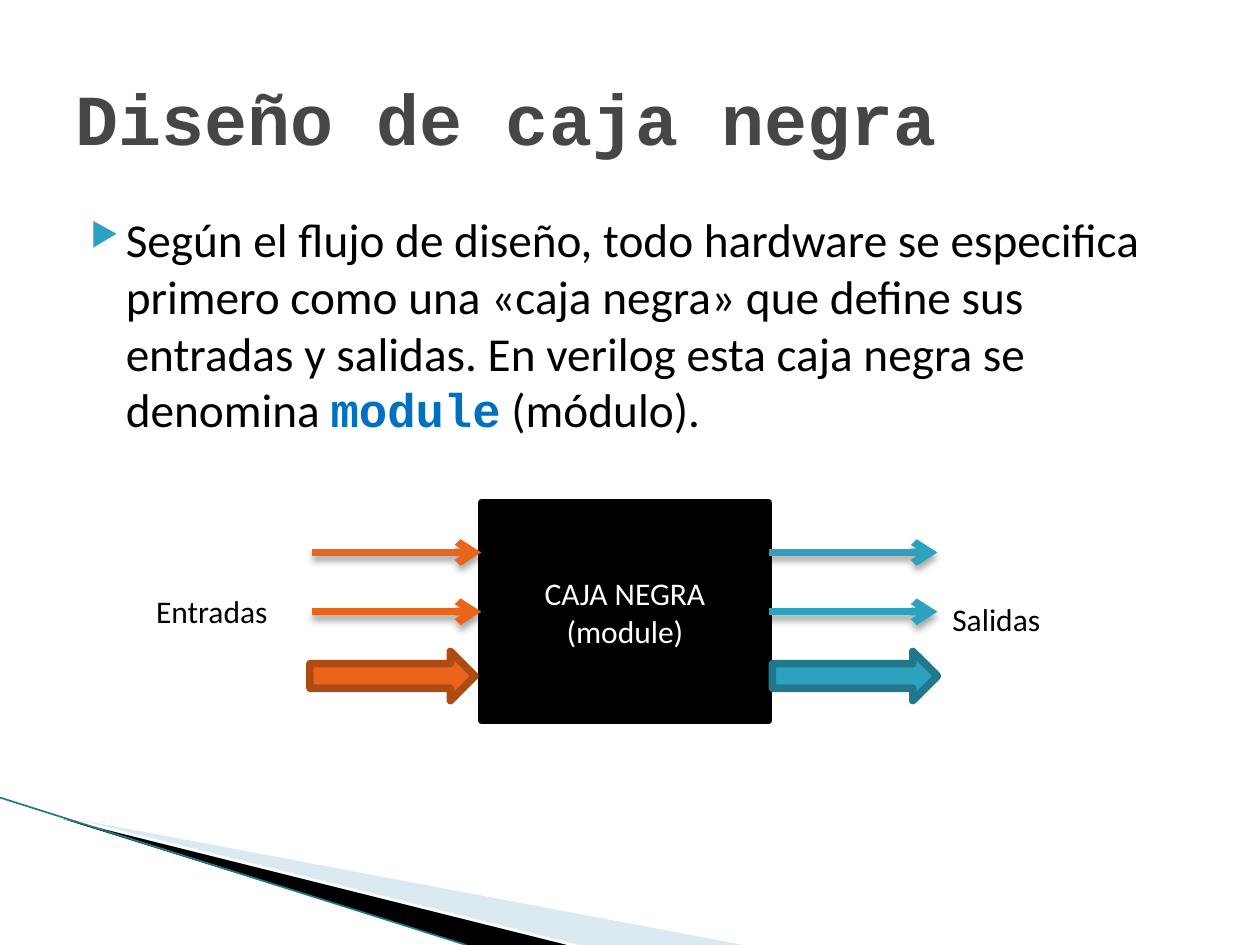
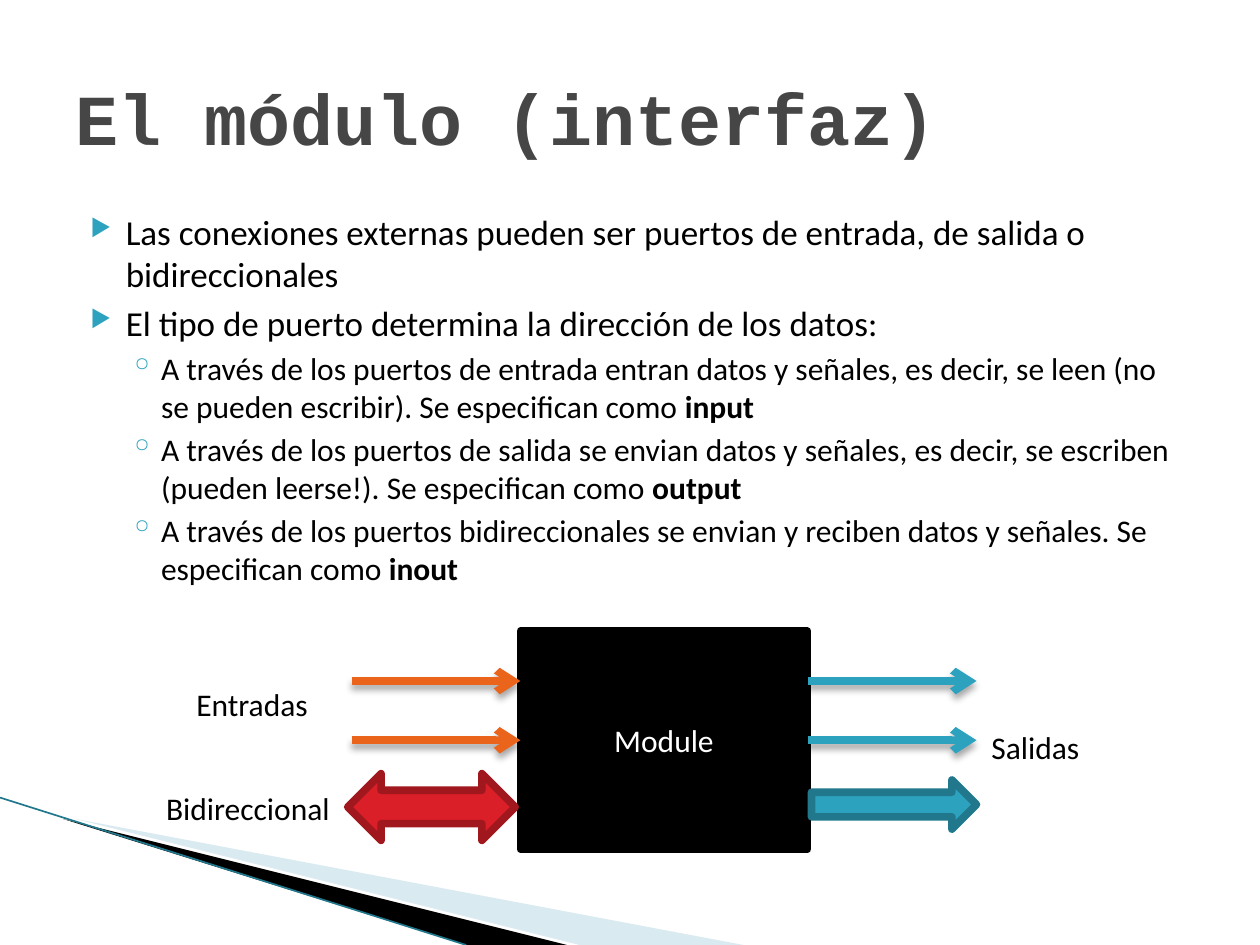
from lxml import etree
from pptx import Presentation
from pptx.dml.color import RGBColor
from pptx.enum.shapes import MSO_CONNECTOR, MSO_SHAPE
from pptx.enum.text import MSO_ANCHOR, MSO_AUTO_SIZE, PP_ALIGN
from pptx.oxml.ns import qn
from pptx.util import Inches, Pt

STRAIGHT = MSO_CONNECTOR.STRAIGHT
RECT, RIGHT, BOTH = MSO_SHAPE.RECTANGLE, MSO_SHAPE.RIGHT_ARROW, MSO_SHAPE.LEFT_RIGHT_ARROW
MIDDLE, LEFT, CENTER = MSO_ANCHOR.MIDDLE, PP_ALIGN.LEFT, PP_ALIGN.CENTER
GROW = MSO_AUTO_SIZE.SHAPE_TO_FIT_TEXT

BLACK, WHITE, GREY, BLUE = "000000", "FFFFFF", "464646", "0070C0"
TEAL, DARK_TEAL, PALE = "2DA2BF", "21788D", "A0CBDC"
ORANGE, DARK_ORANGE, RED, DARK_RED = "EB641B", "AE4A14", "DA1F28", "A1171E"
SANS, MONO = "Calibri", "Courier New"
STROKE = Pt(4.33)

prs = Presentation()
prs.slide_width, prs.slide_height = Inches(10), Inches(7.5)
UNIT = prs.slide_width // 100
rgb = RGBColor.from_string


def grid(*units):
    return [round(u * UNIT) for u in units]


def node(parent, tag, **attrs):
    return etree.SubElement(parent, qn(tag), {k: str(v) for k, v in attrs.items()})


WEDGES = [
    (PALE, 40, [(5.5, 65), (59.2, 75), (45.6, 75)]),
    (BLACK, 100, [(5.3, 64.9), (45.4, 75), (37, 75), (5.4, 65)]),
]
LEVELS = [
    dict(indent=(0.4, -0.28), before=4, char="▶", scale=68),
    dict(indent=(0.68, -0.25), before=3.2, char="◦", scale=100),
]
BOX_W, BOX_H = 22.8, 17.3
REACH, ROW_GAP = 13.4, 4.7
OUT_ARROW = (RIGHT, 23.1, 11.8, 13.1, 3.9, TEAL, DARK_TEAL)
OUT_LABEL = ("Salidas", 36.4, 7.2, 9.4)

SLIDES = [
    dict(
        title="Diseño de caja negra",
        sizes=(27, 18),
        body=[
            (0, [
                ("Según el flujo de diseño, todo hardware se especifica primero como una "
                 "«caja negra» que define sus entradas y salidas. En verilog esta caja negra "
                 "se denomina ", None),
                ("module", BLUE),
                (" (módulo).", None),
            ]),
        ],
        box=(38.2, 39.9),
        box_lines=["CAJA NEGRA", "(module)"],
        arrows=[OUT_ARROW, (RIGHT, -13.6, 11.8, 13.1, 3.9, ORANGE, DARK_ORANGE)],
        labels=[("Entradas", -26.8, 6.6, 11.3), OUT_LABEL],
    ),
    dict(
        title="El módulo (interfaz)",
        sizes=(20, 18),
        body=[
            (0, [("Las conexiones externas pueden ser puertos de entrada, de salida o "
                  "bidireccionales", None)]),
            (0, [("El tipo de puerto determina la dirección de los datos:", None)]),
            (1, [("A través de los puertos de entrada entran datos y señales, es decir, se "
                  "leen (no se pueden escribir). Se especifican como ", None),
                 ("input", BLACK)]),
            (1, [("A través de los puertos de salida se envian datos y señales, es decir, se "
                  "escriben (pueden leerse!). Se especifican como ", None),
                 ("output", BLACK)]),
            (1, [("A través de los puertos bidireccionales se envian y reciben datos y "
                  "señales. Se especifican como ", None),
                 ("inout", BLACK)]),
        ],
        box=(41.3, 50.1),
        box_lines=["Module"],
        arrows=[OUT_ARROW, (BOTH, -13.7, 11.3, 13.3, 5.3, RED, DARK_RED)],
        labels=[("Entradas", -26.7, 3.8, 11.3), OUT_LABEL, ("Bidireccional", -29.1, 12, 15.4)],
    ),
]

for content in SLIDES:
    s = prs.slides.add_slide(prs.slide_layouts[5])
    shapes = s.shapes

    for color, opacity, points in WEDGES:
        builder = shapes.build_freeform(*points[0], scale=UNIT)
        builder.add_line_segments(points[1:])
        sp = builder.convert_to_shape()
        sp.shadow.inherit = False
        sp.fill.solid()
        sp.fill.fore_color.rgb = rgb(color)
        sp.line.fill.background()
        if opacity < 100:
            node(sp.fill._xPr.find(".//" + qn("a:srgbClr")), "a:alpha", val=opacity * 1000)
    edge = shapes.add_connector(STRAIGHT, *grid(0, 63.3, 37, 75))
    edge.line.color.rgb = rgb(DARK_TEAL)
    edge.line.width = Pt(0.95)
    node(edge._element.spPr, "a:effectLst")

    title = shapes.title
    title.left, title.top, title.width, title.height = grid(5, 3, 90, 12.5)
    title.text_frame.text = content["title"]
    title.text_frame.vertical_anchor = MIDDLE
    p = title.text_frame.paragraphs[0]
    p.alignment = LEFT
    p.font.name, p.font.size, p.font.bold = MONO, Pt(41), True
    p.font.color.rgb = rgb(GREY)

    tf = shapes.add_textbox(*grid(5, 16.2, 90, 49.5)).text_frame
    tf.word_wrap = True
    for i, (level, runs) in enumerate(content["body"]):
        p = tf.add_paragraph() if i else tf.paragraphs[0]
        style = LEVELS[level]
        p.level = level
        pPr = p._p.get_or_add_pPr()
        margin, hanging = style["indent"]
        pPr.set("marL", str(Inches(margin)))
        pPr.set("indent", str(Inches(hanging)))
        node(node(pPr, "a:buClr"), "a:srgbClr", val=TEAL)
        node(pPr, "a:buSzPct", val=style["scale"] * 1000)
        node(pPr, "a:buChar", char=style["char"])
        p.space_before = Pt(style["before"])
        p.font.name, p.font.size = SANS, Pt(content["sizes"][level])
        p.font.color.rgb = rgb(BLACK)
        for text, keyword_color in runs:
            r = p.add_run()
            r.text = text
            if keyword_color:
                r.font.bold = True
                r.font.color.rgb = rgb(keyword_color)
                if keyword_color == BLUE:
                    r.font.name = MONO

    x, y = content["box"]
    blocks = []
    for kind, dx, dy, w, h, fill, outline in [
        (RECT, 0, 0, BOX_W, BOX_H, BLACK, BLACK), *content["arrows"]
    ]:
        sp = shapes.add_shape(kind, *grid(x + dx, y + dy, w, h))
        sp.shadow.inherit = False
        sp.fill.solid()
        sp.fill.fore_color.rgb = rgb(fill)
        sp.line.color.rgb = rgb(outline)
        sp.line.width = STROKE
        blocks.append(sp)

    box = blocks[0]
    tf = box.text_frame
    tf.vertical_anchor = MIDDLE
    for i, text in enumerate(content["box_lines"]):
        p = tf.add_paragraph() if i else tf.paragraphs[0]
        p.text = text
        p.alignment = CENTER
        p.font.name, p.font.size = SANS, Pt(18)
        p.font.color.rgb = rgb(WHITE)

    middle = y + BOX_H / 2
    for start, color in [(x + BOX_W, TEAL), (x - REACH, ORANGE)]:
        for row in (middle - ROW_GAP, middle):
            port = shapes.add_connector(STRAIGHT, *grid(start, row, start + REACH, row))
            if row == middle and color == TEAL:
                port.begin_connect(box, 3)
            elif row == middle:
                port.end_connect(box, 1)
            port.line.color.rgb = rgb(color)
            port.line.width = STROKE
            node(port.line._get_or_add_ln(), "a:tailEnd", type="arrow")
            shadow = node(node(port._element.spPr, "a:effectLst"), "a:outerShdw",
                          blurRad=Pt(4), dist=Pt(3), dir=5400000, rotWithShape=0)
            node(node(shadow, "a:srgbClr", val=BLACK), "a:alpha", val=35000)

    for text, dx, dy, w in content["labels"]:
        tf = shapes.add_textbox(*grid(x + dx, y + dy, w, 4)).text_frame
        tf.word_wrap = False
        tf.auto_size = GROW
        p = tf.paragraphs[0]
        p.text = text
        p.font.name, p.font.size = SANS, Pt(18)
        p.font.color.rgb = rgb(BLACK)

prs.save("out.pptx")
